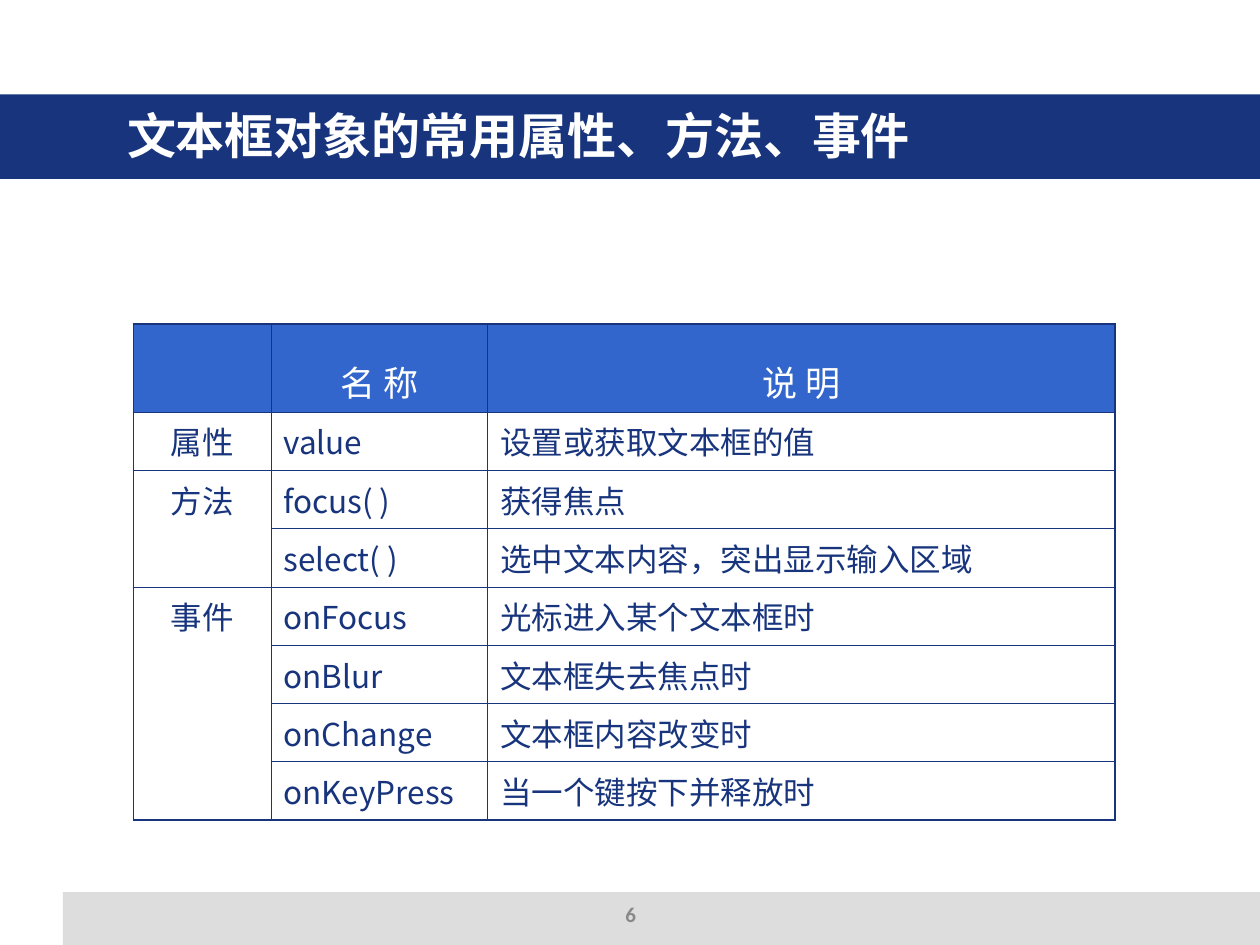
from lxml import etree
from pptx import Presentation
from pptx.dml.color import RGBColor
from pptx.enum.shapes import MSO_SHAPE as Shape
from pptx.enum.text import MSO_ANCHOR as Anchor, PP_ALIGN as Align
from pptx.oxml.ns import qn
from pptx.util import Inches, Pt

NAVY = RGBColor(0x17, 0x34, 0x7D)
BLUE = RGBColor(0x33, 0x66, 0xCC)
GREY = RGBColor(0xDD, 0xDD, 0xDD)
DIM = RGBColor(0x89, 0x89, 0x89)
WHITE = RGBColor(0xFF, 0xFF, 0xFF)
SANS = "Noto Sans CJK SC"
SERIF = "Times New Roman"

HEADS = ["", "名 称", "说 明"]
GROUPS = [
    ("属性", [("value", "设置或获取文本框的值")]),
    ("方法", [("focus( )", "获得焦点"),
            ("select( )", "选中文本内容，突出显示输入区域")]),
    ("事件", [("onFocus", "光标进入某个文本框时"),
            ("onBlur", "文本框失去焦点时"),
            ("onChange", "文本框内容改变时"),
            ("onKeyPress", "当一个键按下并释放时")]),
]
WIDTHS = [1.09, 1.72, 4.98]
HEAD_H, BODY_H = 0.7, 3.24
THICK, THIN = 1.08, 0.45


def write(frame, text, size=18, color=NAVY, font=SANS, bold=False,
          align=Align.LEFT, space=None):
    """Put one formatted paragraph in a text frame."""
    para = frame.paragraphs[0]
    para.alignment = align
    para.line_spacing = space
    run = para.add_run()
    run.text = text
    face = run.font
    face.size, face.bold, face.name = Pt(size), bold, font
    face.color.rgb = color
    # East Asian text needs its own typeface
    latin = run._r.rPr.find(qn("a:latin"))
    asian = etree.Element(qn("a:ea"), typeface=SANS)
    latin.addnext(asian)


def bar(slide, box, color):
    rect = slide.shapes.add_shape(Shape.RECTANGLE, *map(Inches, box))
    rect.shadow.inherit = False
    rect.fill.solid()
    rect.fill.fore_color.rgb = color
    rect.line.fill.background()


def label(slide, box, text, **style):
    frame = slide.shapes.add_textbox(*map(Inches, box)).text_frame
    frame.word_wrap = True
    frame.vertical_anchor = Anchor.MIDDLE
    write(frame, text, **style)


def edge(cell, **sides):
    """Draw cell borders, given as side=width in points."""
    props = cell._tc.get_or_add_tcPr()
    for spot, (side, width) in enumerate(sides.items()):
        line = etree.Element(qn("a:ln" + side), w=str(Pt(width)))
        fill = etree.SubElement(line, qn("a:solidFill"))
        etree.SubElement(fill, qn("a:srgbClr"), val=str(NAVY))
        props.insert(spot, line)


def header(slide, left, top, width):
    """Title band across the slide."""
    bar(slide, (left, top, width, 0.67), NAVY)
    label(slide, (left + 0.91, top - 0.15, 8.29, 0.94),
          "文本框对象的常用属性、方法、事件", size=28, color=WHITE, bold=True)


def footer(slide, left, top, width):
    """Grey strip with the page number."""
    bar(slide, (left, top, width, 0.42), GREY)
    label(slide, (left - 0.33, top + 0.09, 9.67, 0.17), "6",
          size=12, color=DIM, font="Calibri", bold=True, align=Align.CENTER)


def grid(slide, left, top):
    """Table of members, grouped by kind in the first column."""
    count = 1 + sum(len(items) for _, items in GROUPS)
    box = (left, top, sum(WIDTHS), HEAD_H + BODY_H)
    table = slide.shapes.add_table(count, len(WIDTHS), *map(Inches, box)).table
    for col, width in zip(table.columns, WIDTHS):
        col.width = Inches(width)
    for r, row in enumerate(table.rows):
        row.height = Inches(BODY_H / (count - 1) if r else HEAD_H)

    # Fills and borders: thick outside, thin inside
    final = count - len(GROUPS[-1][1])
    for r in range(count):
        for c in range(len(WIDTHS)):
            cell = table.cell(r, c)
            cell.fill.solid()
            cell.fill.fore_color.rgb = WHITE if r else BLUE
            low = r >= (count - 1 if c else final)
            edge(cell,
                 L=THIN if c else THICK,
                 R=THICK if c == len(WIDTHS) - 1 else THIN,
                 T=THIN if r else THICK,
                 B=THICK if low else THIN)

    # Header row
    for c, head in enumerate(HEADS):
        if head:
            write(table.cell(0, c).text_frame, head, size=20, color=WHITE,
                  align=Align.CENTER, space=1.5)

    # Body rows
    r = 1
    for kind, items in GROUPS:
        first = table.cell(r, 0)
        if len(items) > 1:
            first.merge(table.cell(r + len(items) - 1, 0))
        else:
            first.vertical_anchor = Anchor.MIDDLE
        write(first.text_frame, kind, font=SERIF, align=Align.CENTER)
        for item in items:
            for c, text in enumerate(item, 1):
                write(table.cell(r, c).text_frame, text,
                      align=Align.JUSTIFY if r > 1 else Align.LEFT)
            r += 1


def main():
    deck = Presentation()
    deck.slide_width, deck.slide_height = Inches(10), Inches(7.5)
    slide = deck.slides.add_slide(deck.slide_layouts[6])
    header(slide, 0, 0.75, 10)
    grid(slide, 1.06, 2.57)
    footer(slide, 0.5, 7.08, 9.5)
    deck.save("out.pptx")


if __name__ == "__main__":
    main()
